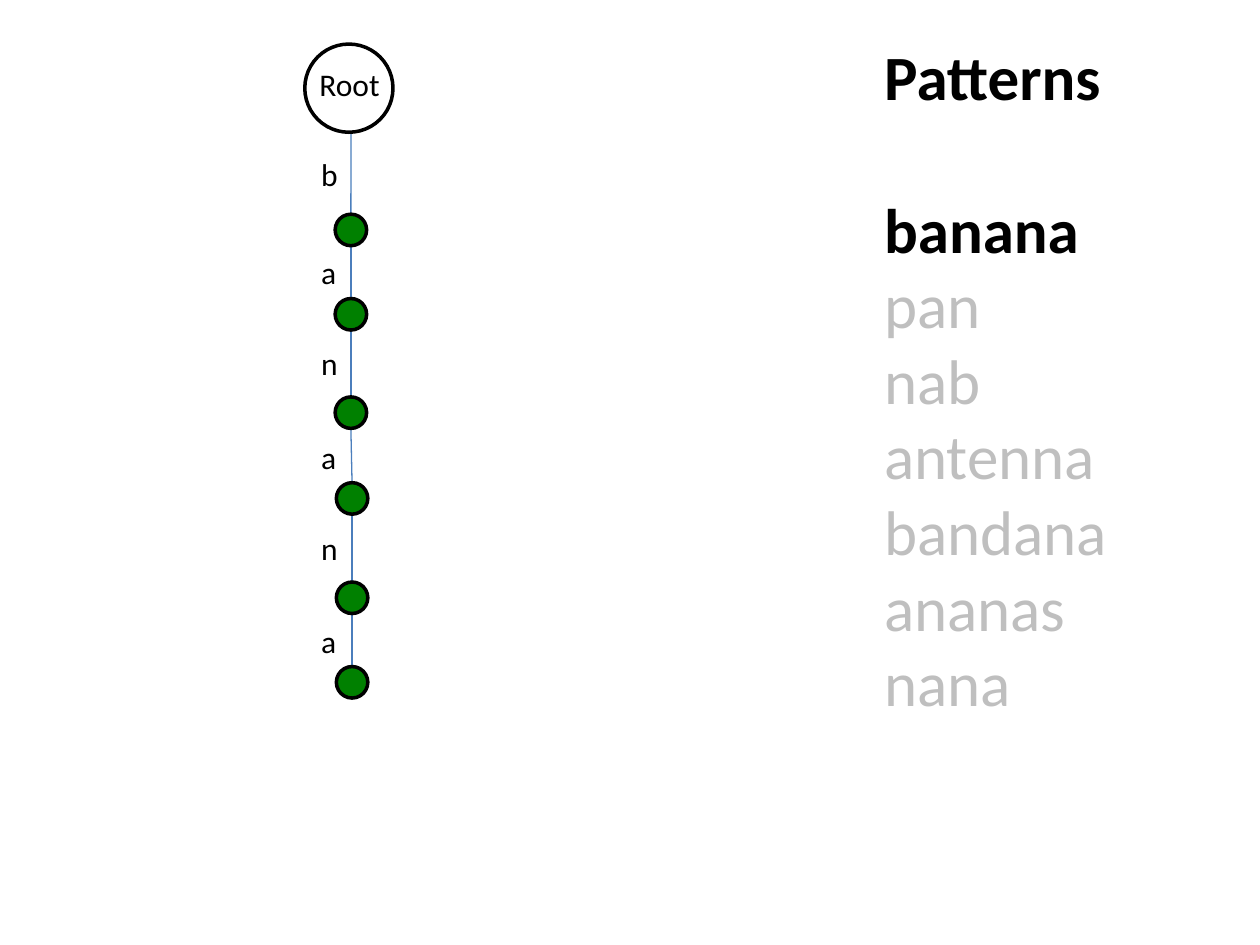
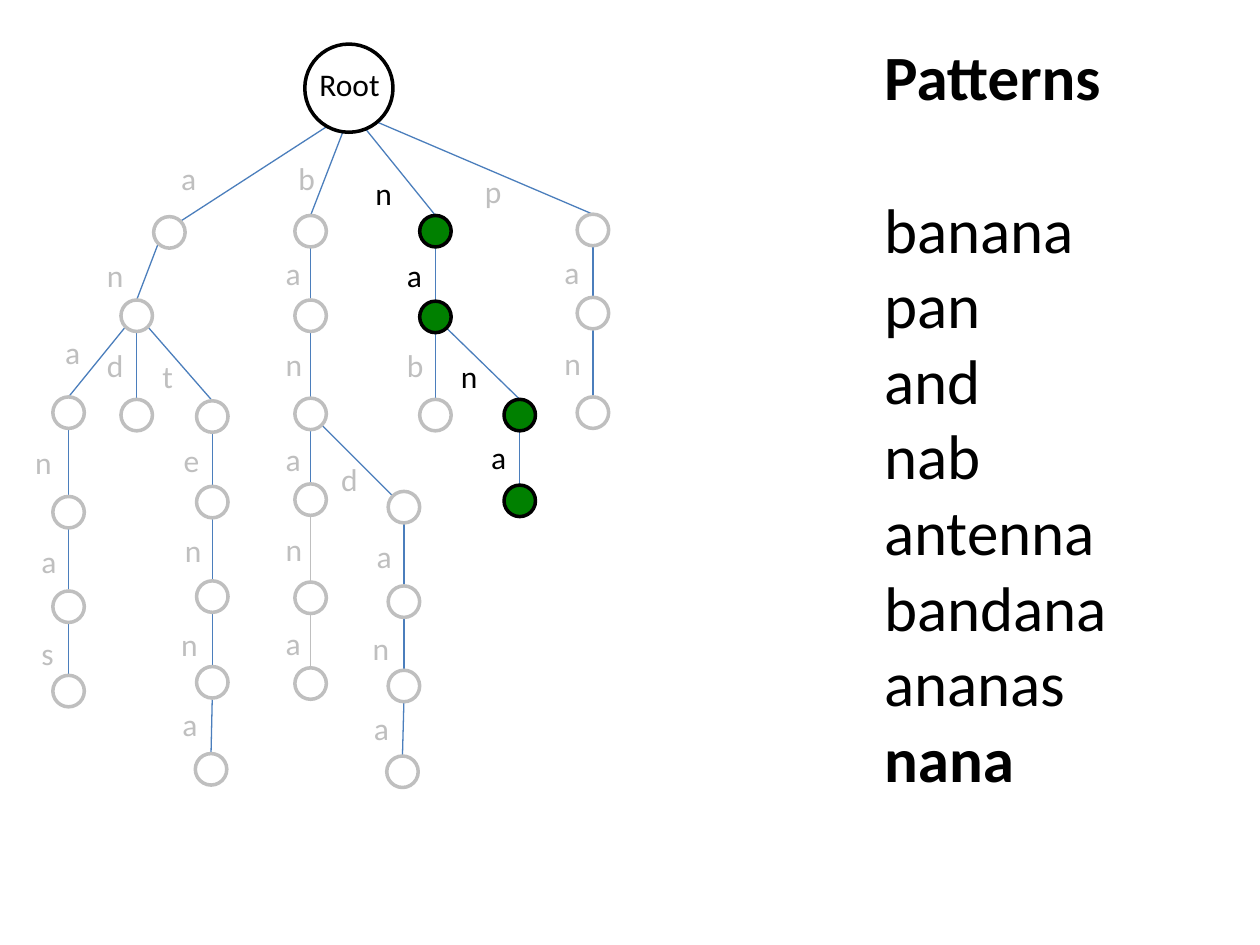
from lxml import etree
from pptx import Presentation
from pptx.dml.color import RGBColor
from pptx.enum import shapes, text
from pptx.oxml import ns
from pptx.util import Pt

COLORS = {"ink": "000000", "muted": "BFBFBF", "paper": "FFFFFF",
          "match": "008000", "edge": "4B7EBC"}
FONT = "Calibri"
NODE = 18
CORNER = 6.4
ROOT = (174.2, 25.2, 50.4)
ROOT_START = (200.6, 63.4)
ENDS_AT_CORNER = {"a", "band"}

BANANA_TRIE = {
    "b": (191.5, 122.4, 176.4, 85),
    "ba": (191.5, 170.6, 176.4, 141.1),
    "ban": (191.5, 226.8, 176.4, 193),
    "bana": (192.2, 275.8, 176.4, 247),
    "banan": (192.2, 332.6, 176.4, 298.8),
    "banana": (192.2, 380.9, 176.4, 352.1),
}
FULL_TRIE = {
    "a": (87.8, 123.8, 96.5, 87.1),
    "an": (69.1, 171.4, 54, 142.6),
    "ana": (30.2, 226.8, 30.2, 186.5),
    "anan": (30.2, 283.7, 13, 249.8),
    "anana": (30.2, 337.7, 16.6, 306),
    "ananas": (30.2, 385.9, 16.6, 358.6),
    "and": (69.1, 228.2, 54, 194.4),
    "ant": (112.3, 229, 85.7, 200.2),
    "ante": (112.3, 277.9, 97.9, 248.4),
    "anten": (112.3, 331.9, 98.6, 300.2),
    "antenn": (112.3, 380.9, 96.5, 353.5),
    "antenna": (111.6, 430.6, 97.2, 399.6),
    "b": (168.5, 123.1, 163.4, 87.1),
    "ba": (168.5, 171.4, 156.2, 141.8),
    "ban": (168.5, 227.5, 156.2, 193.7),
    "bana": (168.5, 276.5, 156.2, 247.7),
    "banan": (168.5, 332.6, 156.2, 299.5),
    "banana": (168.5, 381.6, 156.2, 352.8),
    "band": (221.8, 280.8, 187.9, 259.2),
    "banda": (221.8, 334.8, 208.1, 303.1),
    "bandan": (221.8, 383, 205.9, 355.7),
    "bandana": (221, 432, 206.6, 401.8),
    "n": (239.8, 123.1, 207.4, 95.8),
    "na": (239.8, 172.1, 225.4, 142.6),
    "nab": (239.8, 228.2, 225.4, 194.4),
    "nan": (288, 228.2, 256.3, 200.2),
    "nana": (288, 277.2, 273.6, 247),
    "p": (329.8, 122.4, 270, 95),
    "pa": (329.8, 169.9, 315.4, 141.1),
    "pan": (329.8, 226.8, 315.4, 193),
}


def rgb(color):
    return RGBColor.from_string(COLORS[color])


def edge_points(trie, prefix):
    left, top = trie[prefix][:2]
    end = (left + NODE / 2, top)
    if prefix[:-1] not in trie:
        start, shift = ROOT_START, end[0] - ROOT_START[0]
    else:
        parent_left, parent_top = trie[prefix[:-1]][:2]
        middle = parent_left + NODE / 2
        shift = end[0] - middle
        start = (middle, parent_top + NODE)
        if abs(shift) > 2:
            start = (middle + (CORNER if shift > 0 else -CORNER),
                     parent_top + NODE / 2 + CORNER)
    if prefix in ENDS_AT_CORNER:
        end = (end[0] + (-CORNER if shift > 0 else CORNER),
               top + NODE / 2 - CORNER)
    return start, end


class TrieDeck:
    def __init__(self):
        self.deck = Presentation()
        self.deck.slide_width, self.deck.slide_height = Pt(720), Pt(540)
        self.slide = None

    def new_slide(self):
        self.slide = self.deck.slides.add_slide(self.deck.slide_layouts[6])

    def circle(self, left, top, size, fill, line):
        circle = self.slide.shapes.add_shape(
            shapes.MSO_SHAPE.OVAL, Pt(left), Pt(top), Pt(size), Pt(size))
        circle.shadow.inherit = False
        circle.fill.solid()
        circle.fill.fore_color.rgb = rgb(fill)
        circle.line.color.rgb = rgb(line)
        circle.line.width = Pt(2)

    def edge(self, start, end, color):
        edge = self.slide.shapes.add_connector(
            shapes.MSO_CONNECTOR.STRAIGHT, *(Pt(v) for v in start + end))
        edge.line.color.rgb = rgb(color)
        edge.line.width = Pt(0.75)
        etree.SubElement(edge._element.spPr, ns.qn("a:effectLst"))

    def label(self, left, top, width, height, lines, size, align=text.PP_ALIGN.LEFT):
        box = self.slide.shapes.add_textbox(Pt(left), Pt(top), Pt(width), Pt(height))
        frame = box.text_frame
        frame.word_wrap = True
        frame.text = "\n".join(line for line, _, _ in lines)
        for paragraph, (_, color, bold) in zip(frame.paragraphs, lines):
            paragraph.alignment = align
            font = paragraph.runs[0].font
            font.name, font.size, font.bold = FONT, Pt(size), bold
            font.color.rgb = rgb(color)
        return frame

    def trie(self, trie, word):
        for prefix in trie:
            grey = prefix in ("banan", "banana") and not word.startswith(prefix)
            self.edge(*edge_points(trie, prefix), "muted" if grey else "edge")
        for prefix, (left, top, letter_left, letter_top) in trie.items():
            matched = word.startswith(prefix)
            ink = "ink" if matched else "muted"
            self.circle(left, top, NODE, "match" if matched else "paper", ink)
            self.label(letter_left, letter_top, 25, 28.8,
                       [(prefix[-1], ink, False)], 18)
        self.circle(*ROOT, "paper", "ink")
        self.label(174.2, 33.8, 51.1, 28.8, [("Root", "ink", False)], 18,
                   text.PP_ALIGN.CENTER)

    def patterns(self, words, word, other_color):
        lines = [("Patterns", "ink", True)]
        lines += [(w, "ink" if w == word else other_color, w == word) for w in words]
        frame = self.label(498.2, 18, 192.2, 44 * len(words) + 95, lines, 36)
        frame.paragraphs[1].space_before = Pt(43.9)


def main():
    deck = TrieDeck()
    for trie, word, words, other_color in (
        (BANANA_TRIE, "banana",
         ["banana", "pan", "nab", "antenna", "bandana", "ananas", "nana"], "muted"),
        (FULL_TRIE, "nana",
         ["banana", "pan", "and", "nab", "antenna", "bandana", "ananas", "nana"], "ink"),
    ):
        deck.new_slide()
        deck.trie(trie, word)
        deck.patterns(words, word, other_color)
    deck.deck.save("out.pptx")


if __name__ == "__main__":
    main()
